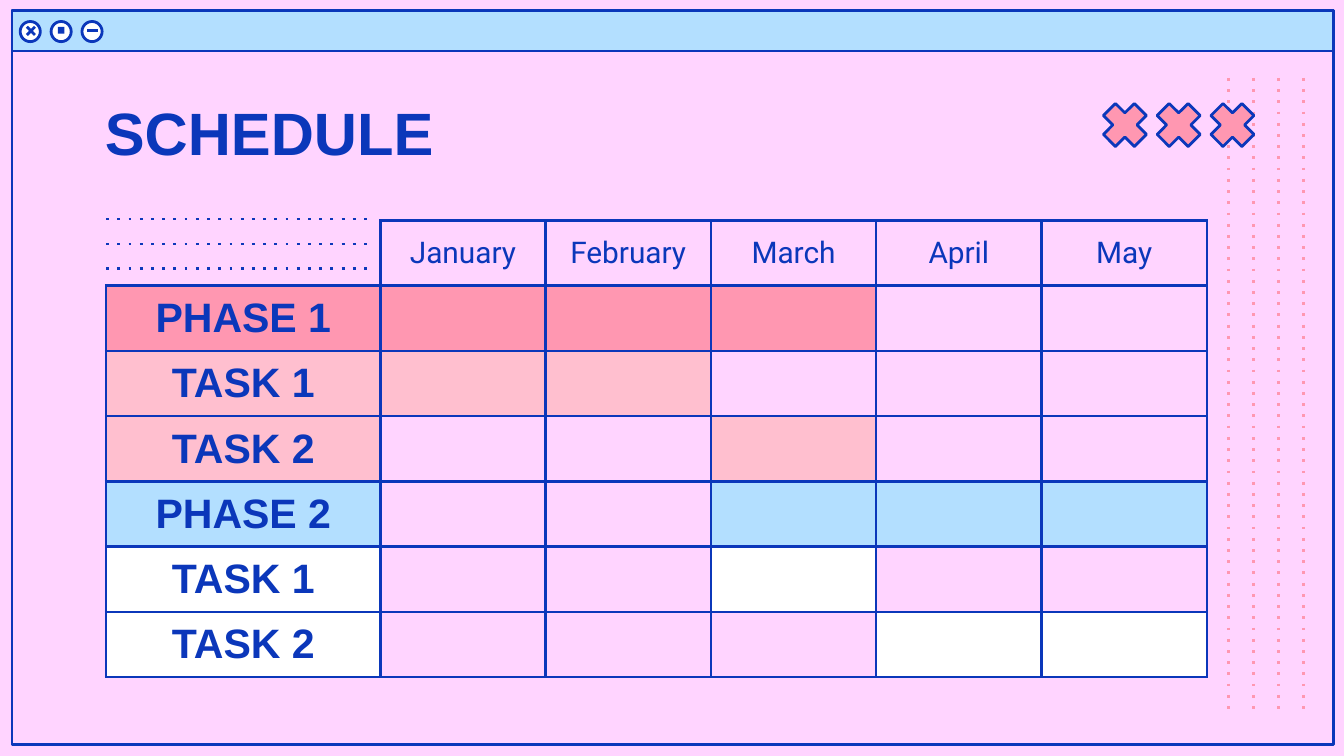
import pptx
import pptx.dml.color
import pptx.enum.dml
import pptx.enum.shapes
import pptx.enum.text
import pptx.oxml.ns
import pptx.util
from lxml import etree

Inches = pptx.util.Inches
Pt = pptx.util.Pt
RGBColor = pptx.dml.color.RGBColor
MSO_SHAPE = pptx.enum.shapes.MSO_SHAPE
PP_ALIGN = pptx.enum.text.PP_ALIGN
MSO_ANCHOR = pptx.enum.text.MSO_ANCHOR
qn = pptx.oxml.ns.qn

NAVY = RGBColor(0x0B, 0x37, 0xBA)
LILAC = RGBColor(0xFF, 0xD4, 0xFF)
SKY = RGBColor(0xB3, 0xDF, 0xFF)
ROSE = RGBColor(0xFF, 0x97, 0xB1)
BLUSH = RGBColor(0xFF, 0xBF, 0xCF)
WHITE = RGBColor(0xFF, 0xFF, 0xFF)
STROKE = Pt(1.5)

MONTHS = ["January", "February", "March", "April", "May"]
# Label, colour, first and last active month column
PHASES = [
    ("PHASE 1", ROSE, 1, 3),
    ("TASK 1", BLUSH, 1, 2),
    ("TASK 2", BLUSH, 3, 3),
    ("PHASE 2", SKY, 3, 5),
    ("TASK 1", WHITE, 3, 3),
    ("TASK 2", WHITE, 4, 5),
]


def write(frame, text, *, size, font, bold=False, align=PP_ALIGN.LEFT):
    paragraph = frame.paragraphs[0]
    paragraph.alignment = align
    run = paragraph.add_run()
    run.text = text
    run.font.size = Pt(size)
    run.font.name = font
    run.font.bold = bold
    run.font.color.rgb = NAVY


def paint(shape, fill=None, line=NAVY):
    shape.shadow.inherit = False
    if fill is None:
        shape.fill.background()
    else:
        shape.fill.solid()
        shape.fill.fore_color.rgb = fill
    if line is None:
        shape.line.fill.background()
    else:
        shape.line.color.rgb = line
        shape.line.width = STROKE


def add_box(slide, kind, left, top, width, height, **colours):
    box = slide.shapes.add_shape(
        kind, Inches(left), Inches(top), Inches(width), Inches(height))
    paint(box, **colours)


def add_line(slide, x1, y1, x2, y2, colour=NAVY, dotted=False):
    line = slide.shapes.add_connector(
        pptx.enum.shapes.MSO_CONNECTOR.STRAIGHT,
        Inches(x1), Inches(y1), Inches(x2), Inches(y2))
    line.line.color.rgb = colour
    line.line.width = STROKE
    if dotted:
        line.line.dash_style = pptx.enum.dml.MSO_LINE.SQUARE_DOT
        line.line._ln.find(qn("a:prstDash")).set("val", "dot")
    etree.SubElement(line._element.spPr, qn("a:effectLst"))


def add_window(slide, left, top, width, height):
    """Draw the window frame, its title bar and three round buttons."""
    add_box(slide, MSO_SHAPE.RECTANGLE, left, top, width, height)
    add_box(slide, MSO_SHAPE.RECTANGLE, left, top, width, 0.3, fill=SKY)
    middle = top + 0.15
    close, restore, minimise = [left + 0.14 + 0.23 * i for i in range(3)]
    for centre in (close, restore, minimise):
        add_box(slide, MSO_SHAPE.OVAL, centre - 0.08, middle - 0.07,
                0.15, 0.15, fill=WHITE)
    for rise in (-0.03, 0.03):
        add_line(slide, close - 0.03, middle - rise, close + 0.03, middle + rise)
    add_box(slide, MSO_SHAPE.RECTANGLE, restore - 0.03, middle - 0.03,
            0.05, 0.05, fill=NAVY, line=None)
    add_line(slide, minimise - 0.04, middle, minimise + 0.04, middle)


def add_dotted_columns(slide, left, top, width, height, count=4):
    for i in range(count):
        x = left + width * i / (count - 1)
        add_line(slide, x, top, x, top + height, ROSE, dotted=True)


def add_dotted_rows(slide, left, top, width, height, count=3):
    for i in range(count):
        y = top + height * i / (count - 1)
        add_line(slide, left, y, left + width, y, dotted=True)


def add_crosses(slide, left, top, size, pitch, count=3):
    arm, notch, half = 0.09, 0.07, size / 2
    corner = [(size, arm), (size - arm, 0), (half, notch), (arm, 0),
              (0, arm), (notch, half)]
    outline = corner + [(size - x, size - y) for x, y in corner]
    for i in range(count):
        points = [(Inches(left + pitch * i + x), Inches(top + y))
                  for x, y in outline]
        builder = slide.shapes.build_freeform(*points[0])
        builder.add_line_segments(points[1:], close=True)
        paint(builder.convert_to_shape(), fill=ROSE)


def set_title(slide, left, top, width, height):
    title = slide.shapes.title
    title.left, title.top = Inches(left), Inches(top)
    title.width, title.height = Inches(width), Inches(height)
    frame = title.text_frame
    frame.auto_size = pptx.enum.text.MSO_AUTO_SIZE.NONE
    frame.word_wrap = True
    frame.vertical_anchor = MSO_ANCHOR.TOP
    frame.margin_left = frame.margin_right = Inches(0.1)
    frame.margin_top = frame.margin_bottom = Inches(0.1)
    write(frame, "SCHEDULE", size=32, font="Arial", bold=True)


def set_borders(cell, sides):
    """Rule the named sides of the cell and clear the others."""
    properties = cell._tc.get_or_add_tcPr()
    for side in "LRTB":
        border = etree.SubElement(properties, qn(f"a:ln{side}"), w=str(STROKE))
        if side in sides:
            fill = etree.SubElement(border, qn("a:solidFill"))
            etree.SubElement(fill, qn("a:srgbClr"), val=str(NAVY))
        else:
            etree.SubElement(border, qn("a:noFill"))


def format_cell(cell, text="", fill=None, sides="LRTB", margin=0.0, **style):
    set_borders(cell, sides)
    if fill is None:
        cell.fill.background()
    else:
        cell.fill.solid()
        cell.fill.fore_color.rgb = fill
    cell.vertical_anchor = MSO_ANCHOR.MIDDLE
    cell.margin_left = cell.margin_right = Inches(0.1)
    cell.margin_top = cell.margin_bottom = Inches(margin)
    if text:
        write(cell.text_frame, text, align=PP_ALIGN.CENTER, **style)


def add_schedule(slide, left, top, width, height):
    row_count, column_count = len(PHASES) + 1, len(MONTHS) + 1
    table = slide.shapes.add_table(
        row_count, column_count, Inches(left), Inches(top),
        Inches(width), Inches(height)).table
    table.first_row = table.horz_banding = False
    label_width = 2.04
    month_width = (width - label_width) / len(MONTHS)
    for i, column in enumerate(table.columns):
        column.width = Inches(month_width if i else label_width)
    for row in table.rows:
        row.height = Inches(height / row_count)

    format_cell(table.cell(0, 0), sides="RB")
    for i, month in enumerate(MONTHS, 1):
        format_cell(table.cell(0, i), month, margin=0.1, size=16, font="Roboto")
    for r, (label, colour, first, last) in enumerate(PHASES, 1):
        format_cell(table.cell(r, 0), label, fill=colour,
                    size=22, font="Arial", bold=True)
        for c in range(1, column_count):
            format_cell(table.cell(r, c),
                        fill=colour if first <= c <= last else None)


def main():
    deck = pptx.Presentation()
    deck.slide_width = Inches(10)
    deck.slide_height = deck.slide_width * 9 // 16
    slide = deck.slides.add_slide(deck.slide_layouts[5])
    slide.background.fill.solid()
    slide.background.fill.fore_color.rgb = LILAC
    add_window(slide, 0.09, 0.08, 9.83, 5.46)
    add_dotted_columns(slide, 9.14, 0.58, 0.56, 4.75)
    set_title(slide, 0.68, 0.61, 7.19, 0.65)
    add_schedule(slide, 0.79, 1.64, 8.19, 3.4)
    add_dotted_rows(slide, 0.79, 1.63, 1.94, 0.37)
    add_crosses(slide, 8.21, 0.77, 0.32, 0.4)
    deck.save("out.pptx")


if __name__ == "__main__":
    main()
